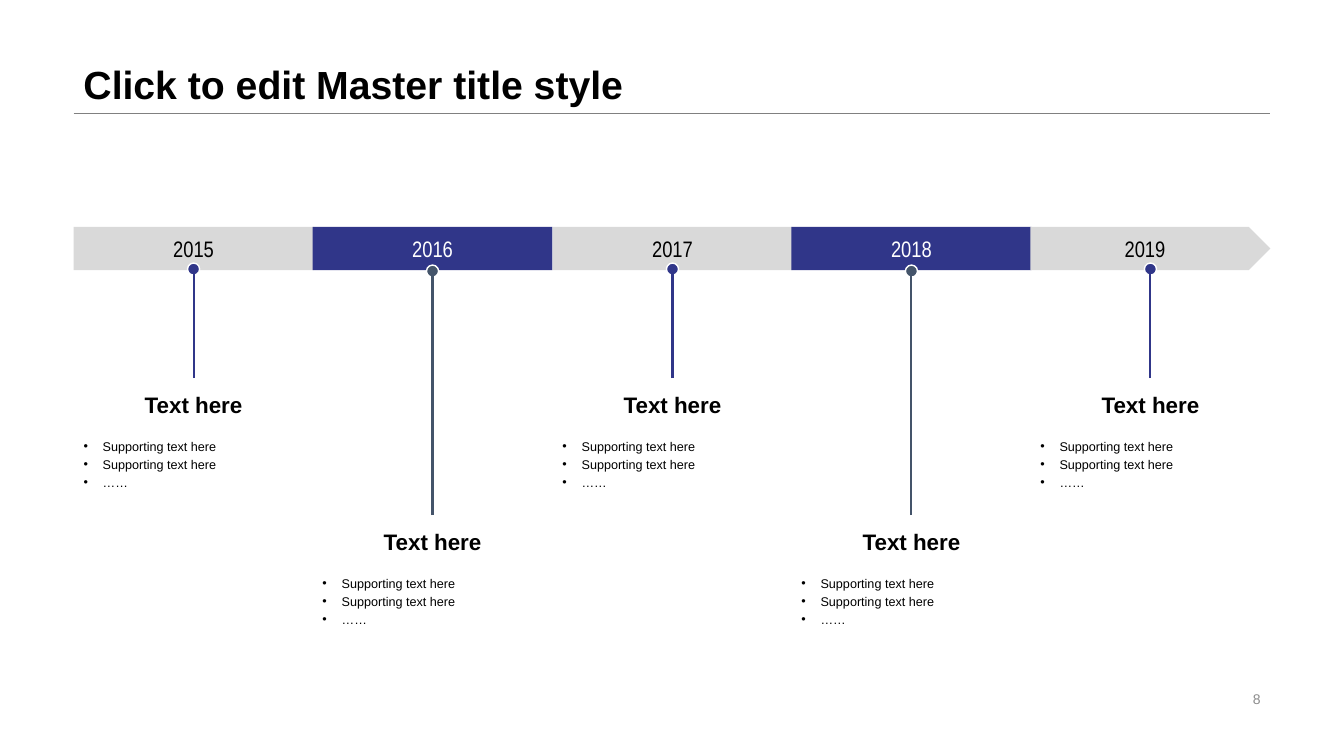
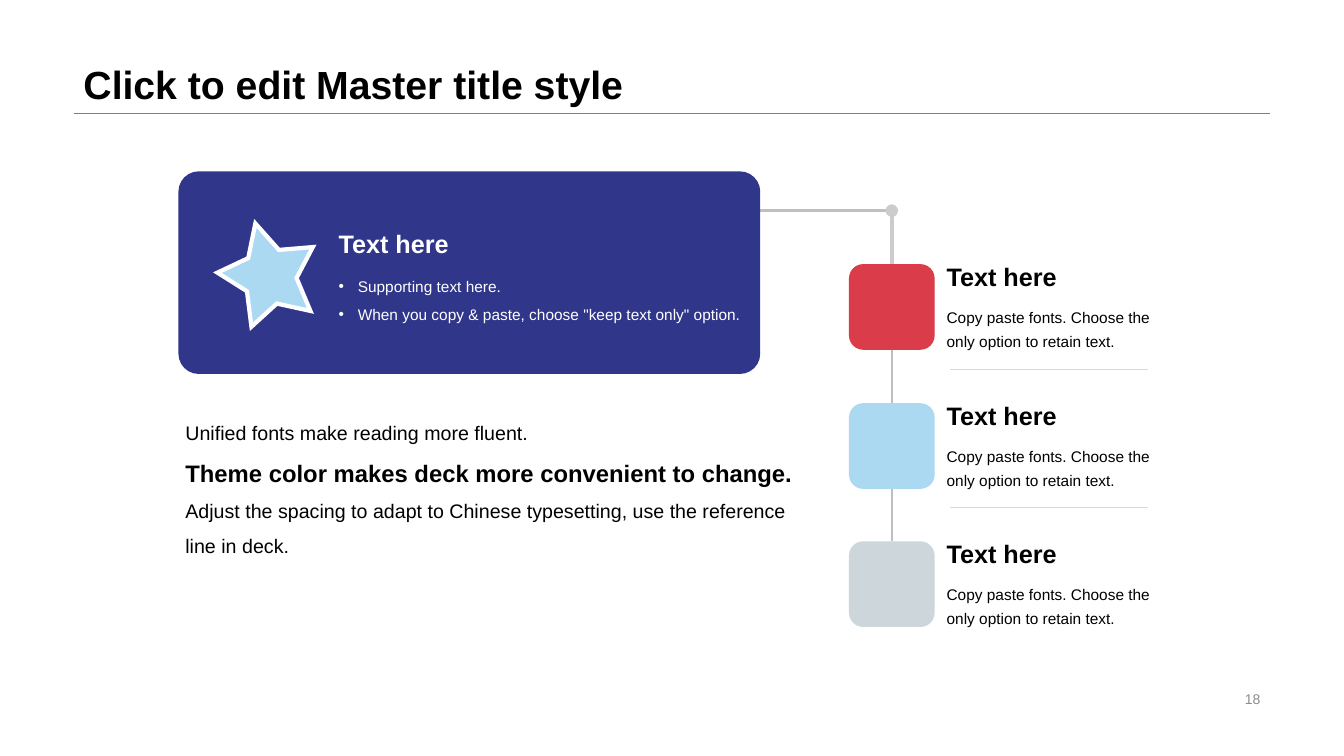
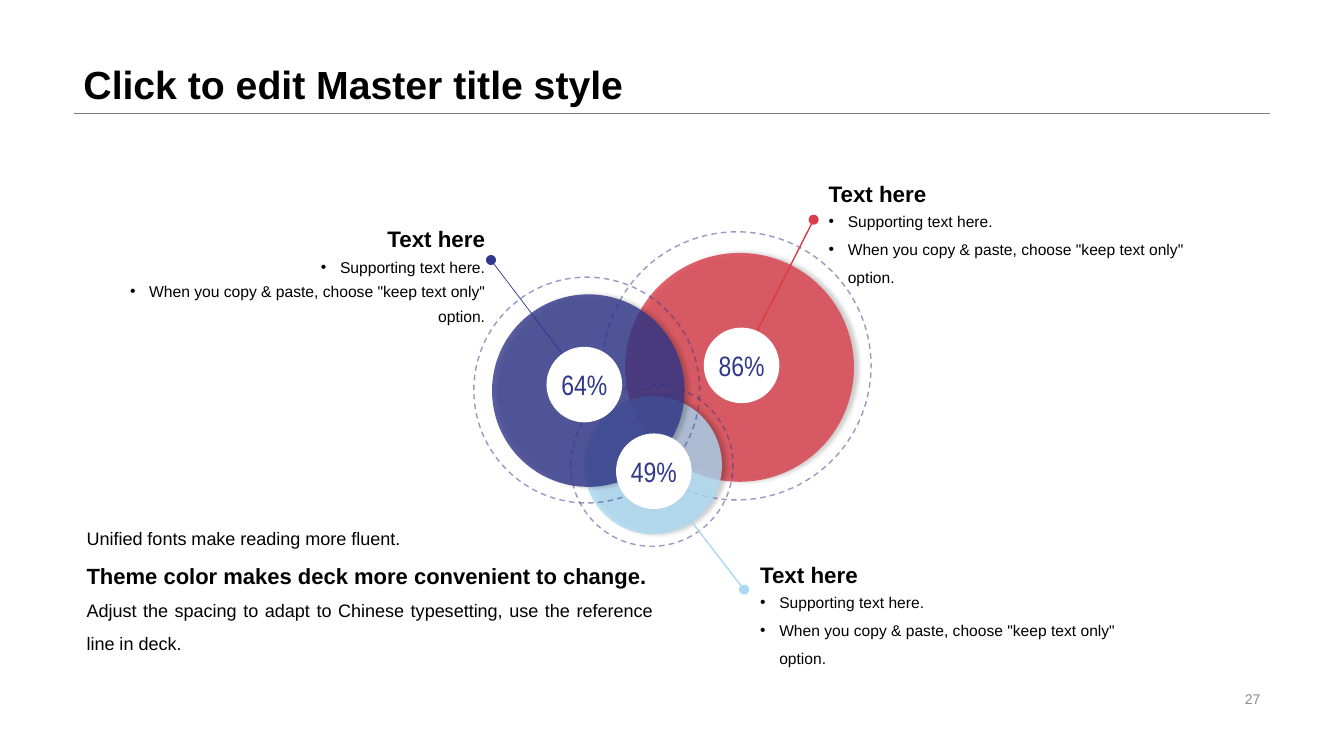
from dataclasses import dataclass, replace
from typing import Any, NamedTuple

import lxml.etree
import pptx
import pptx.dml.color
import pptx.enum.dml
import pptx.enum.shapes
import pptx.enum.text
import pptx.oxml.ns
import pptx.util

Align = pptx.enum.text.PP_ALIGN
Anchor = pptx.enum.text.MSO_ANCHOR
Preset = pptx.enum.shapes.MSO_SHAPE
Color = pptx.dml.color.RGBColor
qn = pptx.oxml.ns.qn

EMU_PER_PX = 9144
TOP, BOTTOM = 0, 2


@dataclass(frozen=True)
class Theme:
    navy: Color = Color.from_string("303689")
    red: Color = Color.from_string("DA3C49")
    sky: Color = Color.from_string("ACD9F2")
    slate: Color = Color.from_string("44546A")
    mist: Color = Color.from_string("CDD7DB")
    band: Color = Color.from_string("D9D9D9")
    trail: Color = Color.from_string("BFBFBF")
    drop: Color = Color.from_string("CCCCCC")
    rule: Color = Color.from_string("808080")
    footer: Color = Color.from_string("8C8C8C")
    black: Color = Color.from_string("000000")
    white: Color = Color.from_string("FFFFFF")
    font: str = "Arial"
    narrow: str = "Arial Narrow"
    title_size: float = 28
    percent_size: float = 20
    card_heading_size: float = 18
    heading_size: float = 16
    detail_size: float = 11
    footer_size: float = 10
    small_size: float = 9


THEME = Theme()


class Box(NamedTuple):
    left: float
    top: float
    width: float
    height: float


class Point(NamedTuple):
    x: float
    y: float


@dataclass(frozen=True)
class TextStyle:
    size: float
    color: Color = THEME.black
    bold: bool = False
    font: str = THEME.font
    align: Any = Align.LEFT
    spacing: float = 1.0
    bullet: bool = False


class Milestone(NamedTuple):
    year: str
    raised: bool


class Step(NamedTuple):
    color: Color


class Bubble(NamedTuple):
    color: Color
    disc: Box
    ring: Box


class Callout(NamedTuple):
    color: Color
    text_at: Point
    style: TextStyle
    dot: Point
    target: Point
    weight: float


class Percent(NamedTuple):
    text: str
    at: Point


MILESTONES = [
    Milestone("2015", True),
    Milestone("2016", False),
    Milestone("2017", True),
    Milestone("2018", False),
    Milestone("2019", True),
]
STEPS = [Step(THEME.red), Step(THEME.sky), Step(THEME.mist)]
BUBBLES = [
    Bubble(THEME.red, Box(620, 251, 227, 227), Box(598, 230, 266, 266)),
    Bubble(THEME.sky, Box(579, 393, 137, 137), Box(566, 381, 161, 161)),
    Bubble(THEME.navy, Box(488, 292, 191, 191), Box(470, 275, 224, 224)),
]
RIGHT_DETAIL = TextStyle(11.1, spacing=1.5, bullet=True)
LEFT_DETAIL = TextStyle(11.2, align=Align.RIGHT, spacing=1.3, bullet=True)
CALLOUTS = [
    Callout(THEME.red, Point(812, 174), RIGHT_DETAIL, Point(807, 218), Point(743, 344), 1),
    Callout(THEME.navy, Point(76, 218), LEFT_DETAIL, Point(487, 258), Point(569, 366), 0.5),
    Callout(THEME.sky, Point(744, 552), RIGHT_DETAIL, Point(738, 585), Point(657, 480), 1),
]
PERCENTS = [
    Percent("86%", Point(698, 325)),
    Percent("64%", Point(542, 344)),
    Percent("49%", Point(611, 430)),
]
HEADING = "Text here"
SUPPORT = ["Supporting text here.", 'When you copy & paste, choose "keep text only" option.']


def px(value: float) -> int:
    return round(value * EMU_PER_PX)


def apply(target: Any, values: dict[str, Any]) -> None:
    for name, value in values.items():
        setattr(target, name, value)


def add_node(parent: Any, tag: str, **attributes: str) -> Any:
    return lxml.etree.SubElement(parent, qn(tag), **attributes)


def set_alpha(parent: Any, percent: int) -> None:
    color = parent.find(f"{qn('a:solidFill')}/{qn('a:srgbClr')}")
    add_node(color, "a:alpha", val=str(percent * 1000))


def write_text(shape: Any, lines: list[tuple[str, TextStyle]], anchor: Any = Anchor.TOP,
               wrap: bool = True) -> None:
    frame = shape.text_frame
    apply(frame, {
        "word_wrap": wrap, "vertical_anchor": anchor,
        "margin_left": px(10), "margin_right": px(10),
        "margin_top": px(5), "margin_bottom": px(5),
    })
    for index, (text, style) in enumerate(lines):
        paragraph = frame.add_paragraph() if index else frame.paragraphs[0]
        apply(paragraph, {"alignment": style.align, "line_spacing": style.spacing})
        if style.bullet:
            properties = paragraph._p.get_or_add_pPr()
            properties.set("marL", str(px(19)))
            properties.set("indent", str(px(-19)))
            add_node(properties, "a:buFont", typeface=THEME.font)
            add_node(properties, "a:buChar", char="•")
        run = paragraph.add_run()
        run.text = text
        apply(run.font, {"size": pptx.util.Pt(style.size), "bold": style.bold, "name": style.font})
        run.font.color.rgb = style.color


def add_text(slide: Any, box: Box, lines: list[tuple[str, TextStyle]],
             anchor: Any = Anchor.TOP, wrap: bool = True) -> Any:
    shape = slide.shapes.add_textbox(*map(px, box))
    write_text(shape, lines, anchor, wrap)
    return shape


def add_shape(slide: Any, preset: Any, box: Box, fill: Color | None = None,
              line: Color | None = None, weight: float = 1) -> Any:
    shape = slide.shapes.add_shape(preset, *map(px, box))
    shape.shadow.inherit = False
    if fill is None:
        shape.fill.background()
    else:
        shape.fill.solid()
        shape.fill.fore_color.rgb = fill
    if line is None:
        shape.line.fill.background()
    else:
        shape.line.color.rgb = line
        shape.line.width = pptx.util.Pt(weight)
    return shape


def add_line(slide: Any, start: Point, end: Point, color: Color, weight: float) -> Any:
    connector = slide.shapes.add_connector(
        pptx.enum.shapes.MSO_CONNECTOR.STRAIGHT, *map(px, (*start, *end)))
    connector.line.color.rgb = color
    connector.line.width = pptx.util.Pt(weight)
    add_node(connector._element.spPr, "a:effectLst")
    return connector


def add_slide(presentation: Any, number: str) -> Any:
    slide = presentation.slides.add_slide(presentation.slide_layouts[6])
    add_line(slide, Point(73, 112), Point(1260, 112), THEME.rule, 0.25)
    title = TextStyle(THEME.title_size, bold=True, spacing=0.9)
    add_text(slide, Box(73, 0, 1187, 112), [("Click to edit Master title style", title)],
             Anchor.BOTTOM)
    footer = TextStyle(THEME.footer_size, THEME.footer, align=Align.RIGHT)
    add_text(slide, Box(942, 682, 318, 23), [(number, footer)], Anchor.MIDDLE)
    return slide


def add_message(slide: Any, box: Box, size: float, strong_size: float, align: Any) -> None:
    plain = TextStyle(size, align=align, spacing=1.5)
    strong = replace(plain, size=strong_size, bold=True)
    add_text(slide, box, [
        ("Unified fonts make reading more fluent.", plain),
        ("Theme color makes deck more convenient to change.", strong),
        ("Adjust the spacing to adapt to Chinese typesetting, "
         "use the reference line in deck.", plain),
    ])


def build_timeline(presentation: Any) -> None:
    slide = add_slide(presentation, "8")
    width, first, last = 238, 73, 1022
    step = (last - first) / (len(MILESTONES) - 1)
    heading_style = TextStyle(THEME.heading_size, bold=True, align=Align.CENTER)
    detail_style = TextStyle(THEME.small_size, spacing=1.2, bullet=True)
    lefts = [round(first + index * step) for index in range(len(MILESTONES))]
    for milestone, left in zip(MILESTONES, lefts):
        preset = Preset.PENTAGON if left == last else Preset.RECTANGLE
        fill, ink = (THEME.band, THEME.black) if milestone.raised else (THEME.navy, THEME.white)
        segment = add_shape(slide, preset, Box(left, 225, width, 43), fill)
        year_style = TextStyle(THEME.heading_size, ink, font=THEME.narrow, align=Align.CENTER)
        write_text(segment, [(milestone.year, year_style)], Anchor.MIDDLE)
    for milestone, left in zip(MILESTONES, lefts):
        center = left + width / 2
        top, dot_top, color = (375, 261, THEME.navy) if milestone.raised else (511, 263, THEME.slate)
        add_shape(slide, Preset.OVAL, Box(center - 6, dot_top, 12, 12), color, THEME.white)
        heading = add_text(slide, Box(left, top, width, 52), [(HEADING, heading_style)],
                           Anchor.MIDDLE, wrap=False)
        stem = add_line(slide, Point(center, top), Point(center, 271), color, 1.5)
        stem.begin_connect(heading, TOP)
        details = ["Supporting text here", "Supporting text here", "……"]
        add_text(slide, Box(left, top + 52, width, 92), [(text, detail_style) for text in details])


def build_steps(presentation: Any) -> None:
    slide = add_slide(presentation, "18")
    corner = Point(884.5, 209)
    add_line(slide, Point(754, 209), corner, THEME.trail, 1.75)
    card = add_shape(slide, Preset.ROUNDED_RECTANGLE, Box(177, 170, 577, 201), THEME.navy)
    card.adjustments[0] = 0.1
    star = add_shape(slide, Preset.STAR_5_POINT, Box(217, 220, 98, 98), THEME.sky, THEME.white, 3)
    star.rotation = 345
    star.adjustments[0] = 0.26
    add_node(star._element.spPr.find(qn("a:ln")), "a:miter", lim="800000")
    card_heading = TextStyle(THEME.card_heading_size, THEME.white, bold=True)
    card_detail = TextStyle(THEME.detail_size, THEME.white, spacing=1.5, bullet=True)
    add_text(slide, Box(326, 218, 421, 43), [(HEADING, card_heading)], Anchor.BOTTOM, wrap=False)
    add_text(slide, Box(326, 261, 421, 63), [(text, card_detail) for text in SUPPORT])
    add_message(slide, Box(174, 401, 625, 183), 14, 17, Align.LEFT)

    heading_style = replace(card_heading, color=THEME.black)
    detail_style = TextStyle(THEME.detail_size, spacing=1.3)
    previous = None
    for index, step in enumerate(STEPS):
        top = round(262 + index * 137.5)
        tile = add_shape(slide, Preset.ROUNDED_RECTANGLE, Box(842, top, 85, 85), step.color)
        if previous is None:
            link = add_line(slide, corner, Point(corner.x, top), THEME.drop, 3)
            add_node(link._element.spPr.find(qn("a:ln")), "a:headEnd", type="oval")
        else:
            link = add_line(slide, corner, Point(corner.x, top), THEME.trail, 1.75)
            link.begin_connect(previous, BOTTOM)
            add_line(slide, Point(942, top - 34), Point(1139, top - 34), THEME.band, 0.25)
        link.end_connect(tile, TOP)
        previous = tile
        add_text(slide, Box(929, top - 10, 231, 42), [(HEADING, heading_style)],
                 Anchor.BOTTOM, wrap=False)
        add_text(slide, Box(929, top + 33, 231, 61),
                 [("Copy paste fonts. Choose the only option to retain text.", detail_style)])


def build_bubbles(presentation: Any) -> None:
    slide = add_slide(presentation, "27")
    for bubble in BUBBLES:
        disc = add_shape(slide, Preset.OVAL, bubble.disc, bubble.color)
        properties = disc._element.spPr
        set_alpha(properties, 80)
        three_points = str(pptx.util.Pt(3))
        shadow = add_node(properties.find(qn("a:effectLst")), "a:outerShdw",
                          blurRad=three_points, dist=three_points, dir="0", rotWithShape="0")
        shade = add_node(shadow, "a:srgbClr", val=str(THEME.black))
        add_node(shade, "a:alpha", val="23000")
        ring = add_shape(slide, Preset.OVAL, bubble.ring, line=THEME.navy)
        ring.line.dash_style = pptx.enum.dml.MSO_LINE.DASH
        set_alpha(ring._element.spPr.find(qn("a:ln")), 50)
    for callout in CALLOUTS:
        left, top = callout.text_at
        heading_style = TextStyle(THEME.heading_size, bold=True, align=callout.style.align)
        add_text(slide, Box(left, top, 415, 35), [(HEADING, heading_style)], wrap=False)
        add_text(slide, Box(left, top + 35, 415, 67),
                 [(text, callout.style) for text in SUPPORT], Anchor.MIDDLE)
        add_line(slide, callout.dot, callout.target, callout.color, callout.weight)
        dot_box = Box(callout.dot.x - 5, callout.dot.y - 5, 10, 10)
        add_shape(slide, Preset.OVAL, dot_box, callout.color)
    percent_style = TextStyle(THEME.percent_size, THEME.navy, font=THEME.narrow,
                              align=Align.CENTER)
    for percent in PERCENTS:
        badge = add_shape(slide, Preset.OVAL, Box(*percent.at, 75, 75), THEME.white)
        write_text(badge, [(percent.text, percent_style)], Anchor.MIDDLE, wrap=False)
    add_message(slide, Box(76, 508, 581, 161), 12.9, 15.7, Align.JUSTIFY)


def main() -> None:
    presentation = pptx.Presentation()
    apply(presentation, {"slide_width": px(1333), "slide_height": px(750)})
    build_timeline(presentation)
    build_steps(presentation)
    build_bubbles(presentation)
    presentation.save("out.pptx")


if __name__ == "__main__":
    main()
